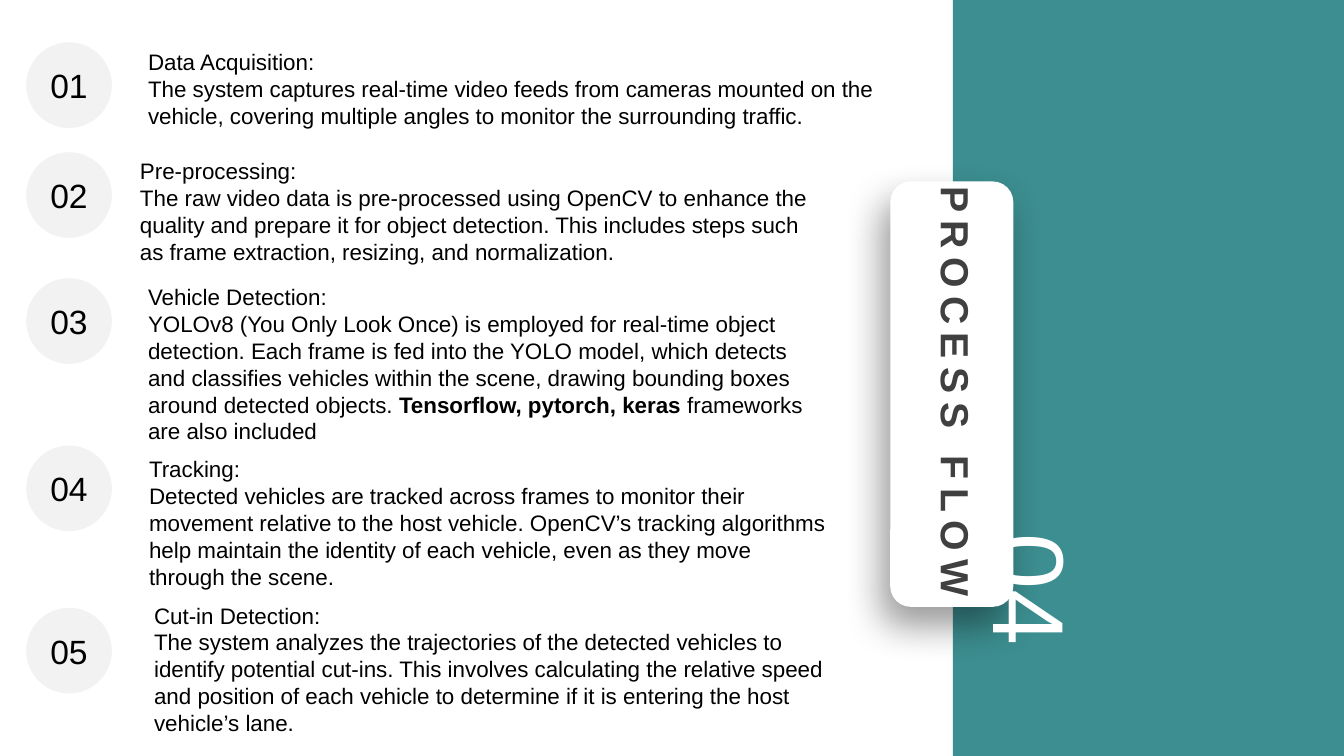
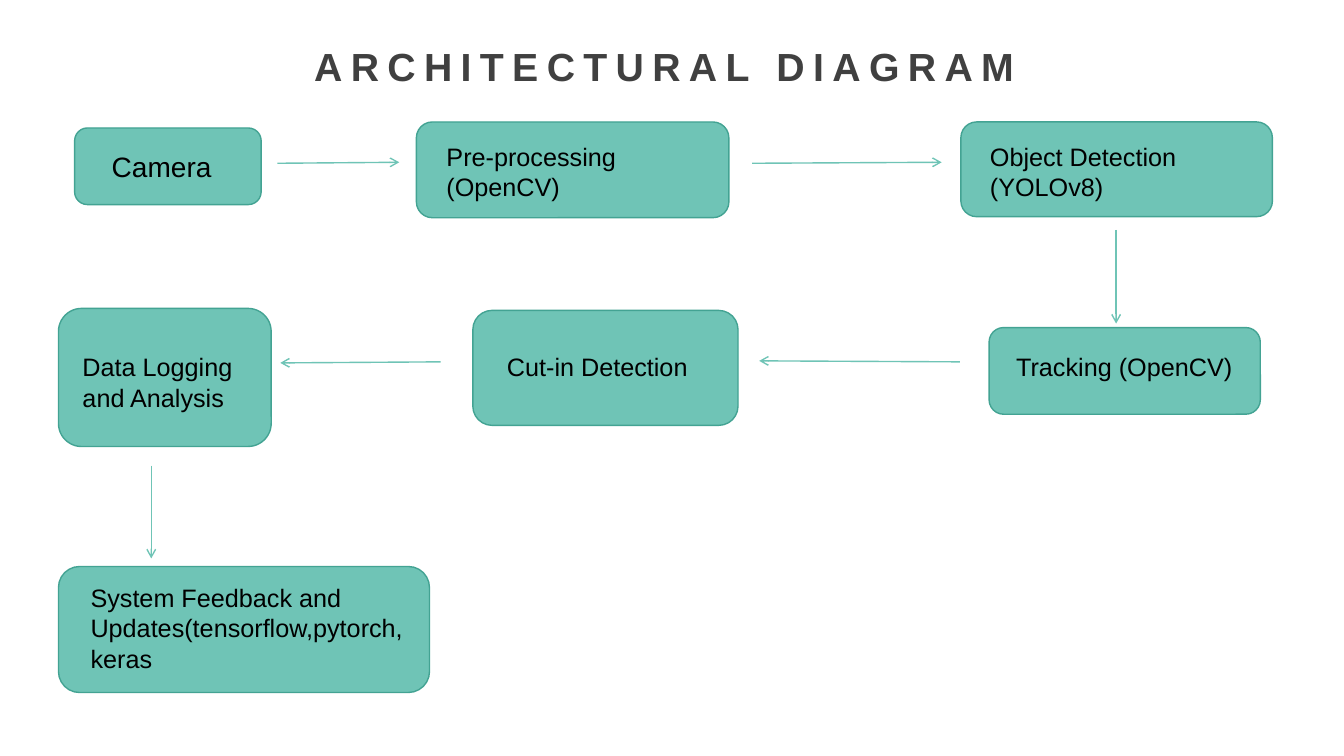
import pptx
import pptx.dml.color
import pptx.enum.shapes
import pptx.enum.text
import pptx.oxml
import pptx.oxml.ns
import pptx.util
from pptx.util import Inches

RGBColor = pptx.dml.color.RGBColor
Shape = pptx.enum.shapes.MSO_SHAPE
Align = pptx.enum.text.PP_ALIGN

TEAL = RGBColor(0x3C, 0x8E, 0x90)
MINT = RGBColor(0x6F, 0xC4, 0xB6)
MINT_EDGE = RGBColor(0x43, 0xA3, 0x93)
TITLE_GREY = RGBColor(0x40, 0x40, 0x40)
PALE_GREY = RGBColor(0xF2, 0xF2, 0xF2)
WHITE = RGBColor(0xFF, 0xFF, 0xFF)
BLACK = RGBColor(0, 0, 0)
FONT = "Arial"

STEPS = [  # circle top, text box, text
    (0.42, (1.37, 0.43, 7.5, 0.91),
     "Data Acquisition:\nThe system captures real-time video feeds from cameras mounted on the "
     "vehicle, covering multiple angles to monitor the surrounding traffic."),
    (1.51, (1.29, 1.51, 7.03, 1.18),
     "Pre-processing:\nThe raw video data is pre-processed using OpenCV to enhance the quality "
     "and prepare it for object detection. This includes steps such as frame extraction, "
     "resizing, and normalization."),
    (2.76, (1.37, 2.76, 6.82, 1.72),
     "Vehicle Detection:\nYOLOv8 (You Only Look Once) is employed for real-time object "
     "detection. Each frame is fed into the YOLO model, which detects and classifies vehicles "
     "within the scene, drawing bounding boxes around detected objects."
     "** Tensorflow, pytorch, keras** frameworks are also included"),
    (4.42, (1.38, 4.47, 6.94, 1.45),
     "Tracking:\nDetected vehicles are tracked across frames to monitor their movement relative "
     "to the host vehicle. OpenCV’s tracking algorithms help maintain the identity of each "
     "vehicle, even as they move through the scene."),
    (6.03, (1.43, 5.92, 6.9, 1.45),
     "Cut-in Detection:\nThe system analyzes the trajectories of the detected vehicles to "
     "identify potential cut-ins. This involves calculating the relative speed and position of "
     "each vehicle to determine if it is entering the host vehicle’s lane."),
]

STAGES = [  # box, label box, label, label size
    ((0.74, 1.27, 1.85, 0.76), (1.01, 1.43, 1.38, 0.44), "Camera", 20),
    ((4.13, 1.21, 3.1, 0.95), (4.33, 1.35, 2.89, 0.71), "Pre-processing (OpenCV)", 18),
    ((9.53, 1.21, 3.09, 0.94), (9.72, 1.35, 2.89, 0.71), "Object Detection (YOLOv8)", 18),
    ((9.81, 3.25, 2.69, 0.86), (9.98, 3.44, 2.35, 0.4), "Tracking (OpenCV)", 18),
    ((4.69, 3.08, 2.63, 1.14), (4.93, 3.44, 2.2, 0.4), "Cut-in Detection", 18),
    ((0.58, 3.06, 2.11, 1.37), (0.72, 3.44, 1.87, 0.71), "Data Logging and Analysis", 18),
    ((0.58, 5.62, 3.68, 1.25), (0.8, 5.73, 3.33, 1.01),
     "System Feedback and Updates(tensorflow,pytorch, keras", 18),
]

FLOW = [  # from x, from y, to x, to y
    (2.75, 1.62, 3.96, 1.61),
    (7.46, 1.62, 9.34, 1.61),
    (11.07, 2.28, 11.07, 3.21),
    (9.52, 3.59, 7.53, 3.58),
    (4.37, 3.59, 2.78, 3.6),
    (1.5, 4.62, 1.5, 5.54),
]


def add_xml(parent, tag, **attributes):
    child = pptx.oxml.ns.qn(tag)
    element = parent.makeelement(child, {key: str(value) for key, value in attributes.items()})
    parent.append(element)
    return element


def write(frame, text, size=16, color=BLACK, bold=False, align=Align.LEFT, spacing=None):
    """Fill a text frame: a line per paragraph, with ** around bold parts."""
    for index, line in enumerate(text.split("\n")):
        paragraph = frame.add_paragraph() if index else frame.paragraphs[0]
        paragraph.alignment = align
        for part, words in enumerate(line.split("**")):
            run = paragraph.add_run()
            run.text = words
            run.font.name = FONT
            run.font.size = pptx.util.Pt(size)
            run.font.bold = bold or part % 2 == 1
            run.font.color.rgb = color
            if spacing:
                run.font._element.set("spc", str(spacing * 100))


class Deck:
    def __init__(self):
        self.presentation = pptx.Presentation()
        self.presentation.slide_width = Inches(13.33)
        self.presentation.slide_height = Inches(7.5)
        self.slide = None

    def new_slide(self):
        self.slide = self.presentation.slides.add_slide(self.presentation.slide_layouts[6])

    def shape(self, kind, box, fill, edge=None):
        shape = self.slide.shapes.add_shape(kind, *map(Inches, box))
        shape.shadow.inherit = False
        shape.fill.solid()
        shape.fill.fore_color.rgb = fill
        if edge is None:
            shape.line.fill.background()
        else:
            shape.line.color.rgb = edge
            shape.line.width = pptx.util.Pt(1)
        return shape

    def text(self, box, words, rotation=0, vertical=False, **style):
        label = self.slide.shapes.add_textbox(*map(Inches, box))
        label.rotation = rotation
        label.text_frame.word_wrap = True
        if vertical:
            label.text_frame._txBody.bodyPr.set("vert", "eaVert")
        write(label.text_frame, words, **style)

    def title(self, box, words, vertical=False):
        self.text(box, words, vertical=vertical, size=28, color=TITLE_GREY, bold=True,
                  align=Align.CENTER, spacing=6)

    def badge(self, top, words):
        circle = self.shape(Shape.OVAL, (0.26, top, 0.85, 0.85), PALE_GREY)
        circle.text_frame.vertical_anchor = pptx.enum.text.MSO_ANCHOR.MIDDLE
        write(circle.text_frame, words, size=24, align=Align.CENTER)

    def raised_panel(self, box):
        """A white rounded panel with a soft shadow to the lower left."""
        panel = self.shape(Shape.ROUNDED_RECTANGLE, box, WHITE)
        effects = panel._element.spPr.find(pptx.oxml.ns.qn("a:effectLst"))
        shadow = add_xml(effects, "a:outerShdw", blurRad=pptx.util.Pt(27), dist=pptx.util.Pt(15),
                         dir=115 * 60000, algn="tr", rotWithShape=0)
        add_xml(add_xml(shadow, "a:srgbClr", val="000000"), "a:alpha", val=40000)

    def arrow(self, ends):
        arrow = self.slide.shapes.add_connector(
            pptx.enum.shapes.MSO_CONNECTOR.STRAIGHT, *map(Inches, ends))
        arrow.line.color.rgb = MINT
        arrow.line.width = pptx.util.Pt(1)
        add_xml(arrow.line._get_or_add_ln(), "a:tailEnd", type="arrow")
        add_xml(arrow._element.spPr, "a:effectLst")


def process_flow(deck):
    deck.new_slide()
    deck.shape(Shape.RECTANGLE, (9.45, 0, 3.88, 7.5), TEAL)
    deck.raised_panel((8.83, 1.8, 1.22, 4.22))
    deck.title((9.1, 1.75, 0.67, 4.37), "PROCESS FLOW", vertical=True)
    for number, (top, box, words) in enumerate(STEPS, 1):
        deck.badge(top, f"{number:02}")
        deck.text(box, words)
    deck.text((9.33, 5.19, 1.84, 1.31), "04", rotation=90, size=72, color=WHITE,
              align=Align.CENTER)


def architecture(deck):
    deck.new_slide()
    deck.title((2.66, 0.37, 7.86, 0.67), "ARCHITECTURAL DIAGRAM")
    for box, label_box, label, size in STAGES:
        deck.shape(Shape.ROUNDED_RECTANGLE, box, MINT, MINT_EDGE)
        deck.text(label_box, label, size=size)
    for ends in FLOW:
        deck.arrow(ends)


def main():
    deck = Deck()
    process_flow(deck)
    architecture(deck)
    deck.presentation.save("out.pptx")


if __name__ == "__main__":
    main()
